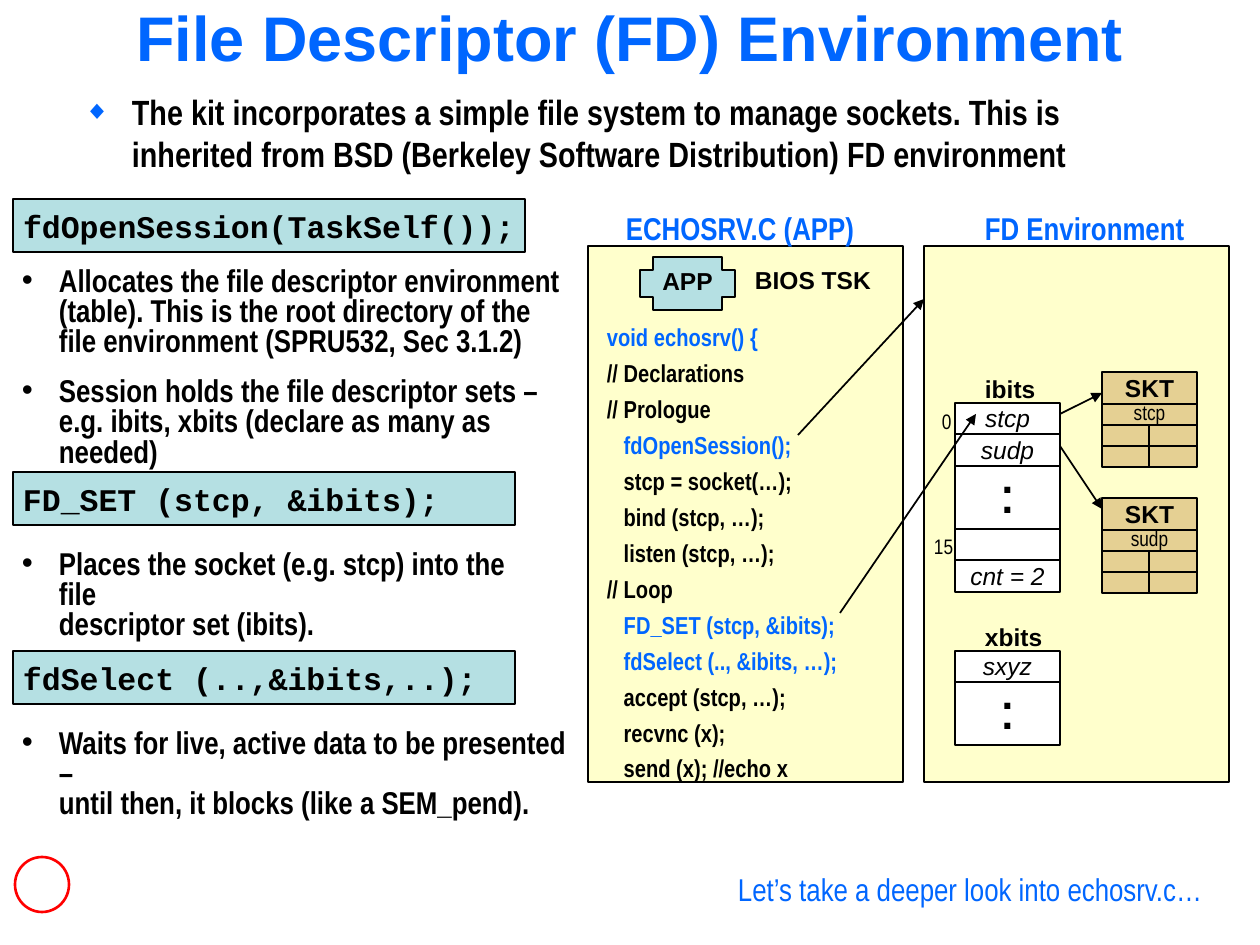
from lxml import etree
from pptx import Presentation
from pptx.dml.color import RGBColor
from pptx.enum.shapes import MSO_CONNECTOR, MSO_SHAPE
from pptx.enum.text import MSO_ANCHOR, MSO_AUTO_SIZE, PP_ALIGN
from pptx.oxml.ns import qn
from pptx.util import Emu, Pt

RECT, PLUS, OVAL = MSO_SHAPE.RECTANGLE, MSO_SHAPE.CROSS, MSO_SHAPE.OVAL
TOP, MID = MSO_ANCHOR.TOP, MSO_ANCHOR.MIDDLE
LEFT, MIDDLE = PP_ALIGN.LEFT, PP_ALIGN.CENTER
SCALE = 914400 / 126
BLUE, BLACK, WHITE, RED = "0066FF", "000000", "FFFFFF", "FF0000"
TEAL, CREAM, TAN = "B5E0E3", "FFFFCC", "E5D093"
SANS, SLIM, MONO = "Arial", "Arial Narrow", "Courier New"

CODE = [
    [("void echosrv() {", BLUE)],
    [("// Declarations", BLACK)],
    [("// Prologue", BLACK)],
    [("   ", BLACK), ("fdOpenSession();", BLUE)],
    [("   stcp = socket(…);", BLACK)],
    [("   bind (stcp, …);", BLACK)],
    [("   listen (stcp, …);", BLACK)],
    [("// Loop", BLACK)],
    [("   ", BLACK), ("FD_SET (stcp, &ibits);", BLUE)],
    [("   ", BLACK), ("fdSelect (.., &ibits, …);", BLUE)],
    [("   accept (stcp, …);", BLACK)],
    [("   recvnc (x);", BLACK)],
    [("   send (x); //echo x", BLACK)],
]
# Call, bar top, bar width, notes top, notes width, notes
CALLS = [
    ("fdOpenSession(TaskSelf());", 199, 512, 262, 578,
     ["Allocates the file descriptor environment\n(table). This is the root directory of the\n"
      "file environment (SPRU532, Sec 3.1.2)",
      "Session holds the file descriptor sets –\ne.g. ibits, xbits (declare as many as needed)"]),
    ("FD_SET (stcp, &ibits);", 472, 502, 545, 532,
     ["Places the socket (e.g. stcp) into the file\ndescriptor set (ibits)."]),
    ("fdSelect (..,&ibits,..);", 651, 502, 724, 571,
     ["Waits for live, active data to be presented –\nuntil then, it blocks (like a SEM_pend)."]),
]
# Start and end of each arrow
ARROWS = [
    (1060, 414, 1102, 393), (1060, 446, 1102, 509),
    (798, 435, 924, 299), (840, 613, 976, 414),
]


def px(n):
    return Emu(round(n * SCALE))


def rgb(code):
    return RGBColor.from_string(code)


def write(shape, paras, size, face=SLIM, bold=False, slant=False, align=LEFT,
          anchor=TOP, pad=(13, 6, 13, 6), wrap=True, lead=0.8, gap=0, dot=None):
    """Fill a shape with paragraphs, each a list of (text, colour) runs."""
    frame = shape.text_frame
    frame.auto_size, frame.word_wrap = MSO_AUTO_SIZE.NONE, wrap
    frame.vertical_anchor = anchor
    (frame.margin_left, frame.margin_top,
     frame.margin_right, frame.margin_bottom) = map(px, pad)
    for i, runs in enumerate(paras):
        para = frame.add_paragraph() if i else frame.paragraphs[0]
        para.alignment, para.line_spacing = align, lead
        para.space_before = Pt(gap if i else 0)
        if dot:
            bullet(para, *dot)
        for text, color in runs:
            for j, line in enumerate(text.split("\n")):
                if j:
                    para.add_line_break()
                run = para.add_run()
                run.text = line
                font = run.font
                font.name, font.size = face, Pt(size)
                font.bold, font.italic = bold, slant
                font.color.rgb = rgb(color)


def bullet(para, mark, color, pct, indent):
    props = para._p.get_or_add_pPr()
    props.set("marL", str(px(indent)))
    props.set("indent", str(-px(indent)))
    tint = etree.SubElement(props, qn("a:buClr"))
    etree.SubElement(tint, qn("a:srgbClr"), val=color)
    etree.SubElement(props, qn("a:buSzPct"), val=str(pct * 1000))
    etree.SubElement(props, qn("a:buFont"), typeface=SANS)
    etree.SubElement(props, qn("a:buChar"), char=mark)


def block(slide, box, fill, kind=RECT, line=BLACK, width=1):
    shape = slide.shapes.add_shape(kind, *map(px, box))
    shape.shadow.inherit = False
    shape.fill.solid()
    shape.fill.fore_color.rgb = rgb(fill)
    shape.line.color.rgb = rgb(line)
    shape.line.width = Pt(width)
    return shape


def label(slide, box, text, size, color=BLACK, **style):
    write(slide.shapes.add_textbox(*map(px, box)), [[(text, color)]], size, **style)


def stroke(slide, ends, head=False):
    line = slide.shapes.add_connector(MSO_CONNECTOR.STRAIGHT, *map(px, ends))
    line.line.color.rgb = rgb(BLACK)
    line.line.width = Pt(1)
    props = line._element.spPr
    if head:
        etree.SubElement(props.find(qn("a:ln")), qn("a:tailEnd"), type="triangle")
    etree.SubElement(props, qn("a:effectLst"))


def cell(slide, box, fill, text, size, drop=0, **style):
    shape = block(slide, box, fill)
    if text:
        write(shape, [[(text, BLACK)]], size, align=MIDDLE, anchor=MID,
              pad=(0, drop, 0, 0), wrap=False, **style)


def heading(slide, box):
    title = slide.shapes.title
    title.left, title.top, title.width, title.height = map(px, box)
    write(title, [[("File Descriptor (FD) Environment", BLUE)]], 36, SANS, True,
          align=MIDDLE, anchor=MID, pad=(6, 6, 6, 6), lead=0.75)


def call(slide, x, name, top, width, low, span, notes):
    bar = block(slide, (x, top, width, 53), TEAL)
    write(bar, [[(name, BLACK)]], 18, MONO, True, anchor=MID,
          pad=(10, 7, 0, 0), wrap=False)
    body = slide.shapes.add_textbox(*map(px, (x - 4, low, span, 100 * len(notes))))
    write(body, [[(note, BLACK)] for note in notes], 18, bold=True, gap=11.2,
          dot=("•", BLACK, 100, 37))


def app(slide, x, y, w, h):
    block(slide, (x, y, w, h), CREAM)
    label(slide, (x + 25, y - 36, 290, 43), "ECHOSRV.C (APP)", 18, BLUE, bold=True)
    cross = block(slide, (x + 52, y + 11, 95, 53), TEAL, PLUS)
    write(cross, [[("APP", BLACK)]], 14, SANS, True, align=MIDDLE, anchor=MID,
          pad=(0, 0, 0, 0), wrap=False)
    label(slide, (x + 154, y + 19, 150, 37), "BIOS TSK", 14, face=SANS, bold=True)
    code = slide.shapes.add_textbox(*map(px, (x + 6, y + 78, w - 10, 465)))
    write(code, CODE, 14, bold=True, lead=0.7, gap=8.8)


def bits(slide, x, y, name, rows):
    """Stack named cells; a pair of dots stands for two rows."""
    label(slide, (x + 17, y - 29, 100, 37), name, 14, face=SANS, bold=True)
    step = 0
    for text in rows:
        dots = text == ".\n."
        tall = 2 if dots else 1
        top, end = (y + n * 63 // 2 for n in (step, step + tall))
        style = {"bold": True, "lead": 0.4} if dots else {"slant": True, "drop": 4}
        cell(slide, (x, top, 105, end - top), WHITE, text, 24 if dots else 14,
             face=SANS, **style)
        step += tall


def socket(slide, x, y, name):
    w, head, row = 95, 32, 21
    cell(slide, (x, y, w, head), TAN, "SKT", 14, 4, face=SANS, bold=True)
    for i, text in enumerate((name, "", "")):
        cell(slide, (x, y + head + i * row, w, row), TAN, text, 12)
    mid = x + w // 2
    stroke(slide, (mid, y + head + row, mid, y + head + 3 * row))


def env(slide, x, y, w, h):
    block(slide, (x, y, w, h), CREAM)
    label(slide, (x + 48, y - 36, 250, 43), "FD Environment", 18, BLUE, bold=True)
    bits(slide, x + 31, y + 157, "ibits", ["stcp", "sudp", ".\n.", "", "cnt = 2"])
    bits(slide, x + 31, y + 405, "xbits", ["sxyz", ".\n."])
    for i, name in enumerate(("stcp", "sudp")):
        socket(slide, x + 178, y + 126 + i * 126, name)
    label(slide, (x + 5, y + 161, 45, 33), "0", 12)
    label(slide, (x - 3, y + 286, 50, 33), "15", 12)


def main():
    deck = Presentation()
    deck.slide_width, deck.slide_height = px(1260), px(945)
    slide = deck.slides.add_slide(deck.slide_layouts[5])
    heading(slide, (0, 2, 1260, 85))
    # Introduction
    label(slide, (71, 84, 1060, 97),
          "The kit incorporates a simple file system to manage sockets. This is\n"
          "inherited from BSD (Berkeley Software Distribution) FD environment",
          20, bold=True, anchor=MID, lead=1.0, dot=("◆", BLUE, 75, 48))
    # Calls with their notes
    for item in CALLS:
        call(slide, 13, *item)
    # Panels and the arrows across them
    app(slide, 588, 246, 315, 536)
    env(slide, 924, 246, 305, 536)
    for ends in ARROWS:
        stroke(slide, ends, head=True)
    # Footer
    block(slide, (15, 857, 54, 55), WHITE, OVAL, RED, 1.5)
    label(slide, (725, 871, 510, 43), "Let’s take a deeper look into echosrv.c…", 18, BLUE)
    deck.save("out.pptx")


if __name__ == "__main__":
    main()
